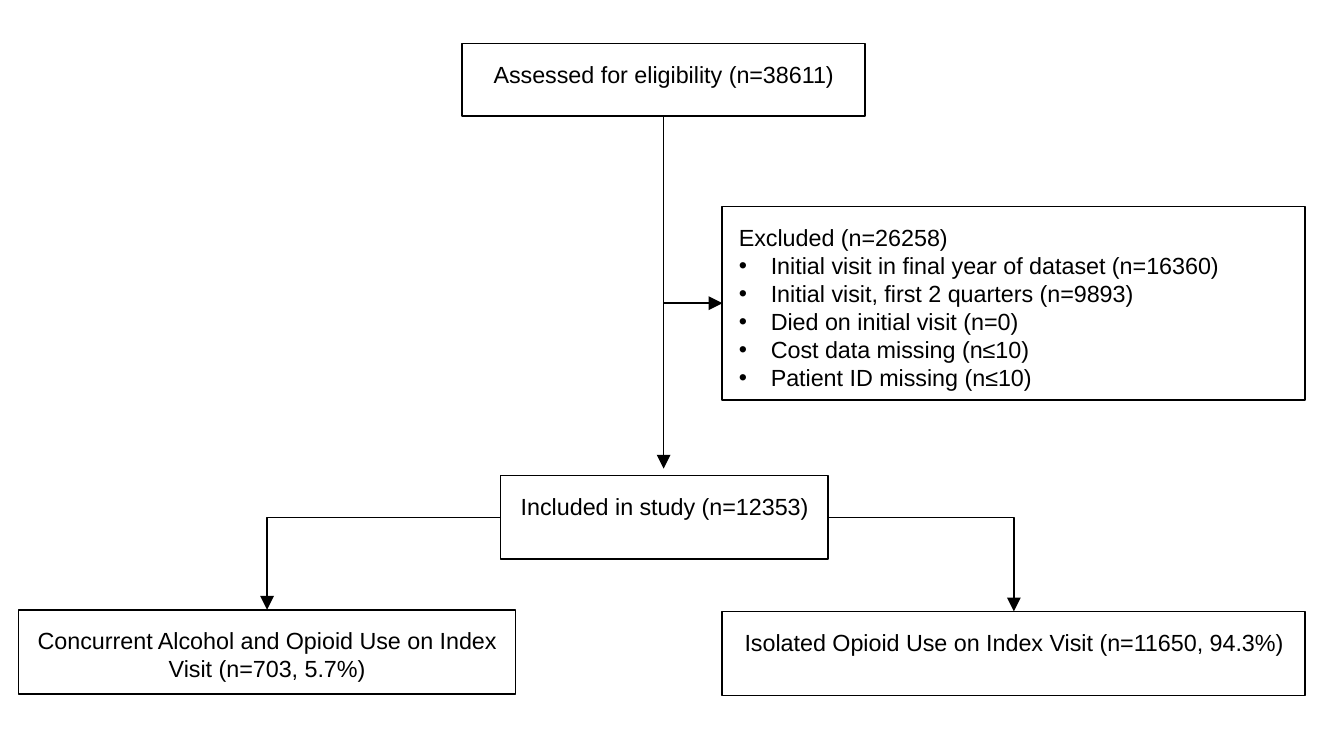
from lxml import etree
from pptx import Presentation
from pptx import util as u
from pptx.dml.color import RGBColor
from pptx.enum import shapes, text
from pptx.oxml.ns import qn

BLACK = RGBColor(0, 0, 0)
WHITE = RGBColor(255, 255, 255)

# The slide is a grid of 80 columns and 45 rows of square cells.
COLUMNS, ROWS = 80, 45
CELL = u.Inches(0.1)
INSET = CELL
LINE_WIDTH = u.Pt(0.75)
BULLET_INDENT = u.Inches(0.19)
TOP, LEFT, BOTTOM, RIGHT = range(4)

EXCLUSIONS = [
    "Initial visit in final year of dataset (n=16360)",
    "Initial visit, first 2 quarters (n=9893)",
    "Died on initial visit (n=0)",
    "Cost data missing (n≤10)",
    "Patient ID missing (n≤10)",
]


def cells(count):
    return u.Emu(round(count * CELL))


def write_line(paragraph, words, alignment):
    paragraph.alignment = alignment
    run = paragraph.add_run()
    run.text = words
    run.font.name = "Arial"
    run.font.size = u.Pt(10)
    run.font.color.rgb = BLACK


def make_bullet(paragraph):
    properties = paragraph._p.get_or_add_pPr()
    properties.set("marL", str(BULLET_INDENT))
    properties.set("indent", str(-BULLET_INDENT))
    etree.SubElement(properties, qn("a:buFont"), typeface="Arial")
    etree.SubElement(properties, qn("a:buChar"), char="•")


def add_box(slide, column, row, width, height, heading,
            bullets=(), alignment=text.PP_ALIGN.CENTER):
    box = slide.shapes.add_shape(
        shapes.MSO_SHAPE.RECTANGLE,
        cells(column), cells(row), cells(width), cells(height))
    box.shadow.inherit = False
    box.fill.solid()
    box.fill.fore_color.rgb = WHITE
    box.line.color.rgb = BLACK
    box.line.width = LINE_WIDTH
    frame = box.text_frame
    frame.word_wrap = True
    frame.vertical_anchor = text.MSO_ANCHOR.TOP
    frame.margin_left = frame.margin_right = INSET
    frame.margin_top = frame.margin_bottom = INSET
    write_line(frame.paragraphs[0], heading, alignment)
    for bullet in bullets:
        paragraph = frame.add_paragraph()
        write_line(paragraph, bullet, alignment)
        make_bullet(paragraph)
    return box


def side_middle(box, side):
    """Return the x and y of the middle of one side of a box."""
    x = {LEFT: box.left, RIGHT: box.left + box.width}.get(
        side, box.left + box.width // 2)
    y = {TOP: box.top, BOTTOM: box.top + box.height}.get(
        side, box.top + box.height // 2)
    return x, y


def add_arrow(slide, kind, start, end):
    arrow = slide.shapes.add_connector(kind, *start, *end)
    arrow.line.color.rgb = BLACK
    arrow.line.width = LINE_WIDTH
    etree.SubElement(arrow.line._get_or_add_ln(), qn("a:tailEnd"), type="triangle")
    etree.SubElement(arrow._element.spPr, qn("a:effectLst"))
    return arrow


def add_branch(slide, source, side, target):
    """Join a box's side to the top of another box with a single bend."""
    arrow = add_arrow(slide, shapes.MSO_CONNECTOR.ELBOW,
                      side_middle(source, side), side_middle(target, TOP))
    arrow._element.spPr.find(qn("a:prstGeom")).set("prst", "bentConnector2")
    arrow.begin_connect(source, side)
    arrow.end_connect(target, TOP)


def main():
    presentation = Presentation()
    presentation.slide_width = cells(COLUMNS)
    presentation.slide_height = cells(ROWS)
    slide = presentation.slides.add_slide(presentation.slide_layouts[6])

    assessed = add_box(slide, 27.5, 2.6, 24, 4.3,
                       "Assessed for eligibility (n=38611)")
    excluded = add_box(slide, 43, 12.3, 34.7, 11.5, "Excluded (n=26258)",
                       EXCLUSIONS, text.PP_ALIGN.LEFT)
    concurrent = add_box(
        slide, 1.1, 36.3, 29.6, 5,
        "Concurrent Alcohol and Opioid Use on Index Visit (n=703, 5.7%)")
    isolated = add_box(slide, 43, 36.4, 34.7, 5,
                       "Isolated Opioid Use on Index Visit (n=11650, 94.3%)")
    included = add_box(slide, 29.8, 28.3, 19.5, 5, "Included in study (n=12353)")

    straight = shapes.MSO_CONNECTOR.STRAIGHT
    trunk_x, trunk_top = side_middle(assessed, BOTTOM)
    trunk = add_arrow(slide, straight, (trunk_x, trunk_top), (trunk_x, cells(27.9)))
    trunk.begin_connect(assessed, BOTTOM)

    exclusion_x, exclusion_y = side_middle(excluded, LEFT)
    exclusion = add_arrow(slide, straight, (trunk_x, exclusion_y),
                          (exclusion_x, exclusion_y))
    exclusion.end_connect(excluded, LEFT)

    add_branch(slide, included, LEFT, concurrent)
    add_branch(slide, included, RIGHT, isolated)

    presentation.save("out.pptx")


if __name__ == "__main__":
    main()
